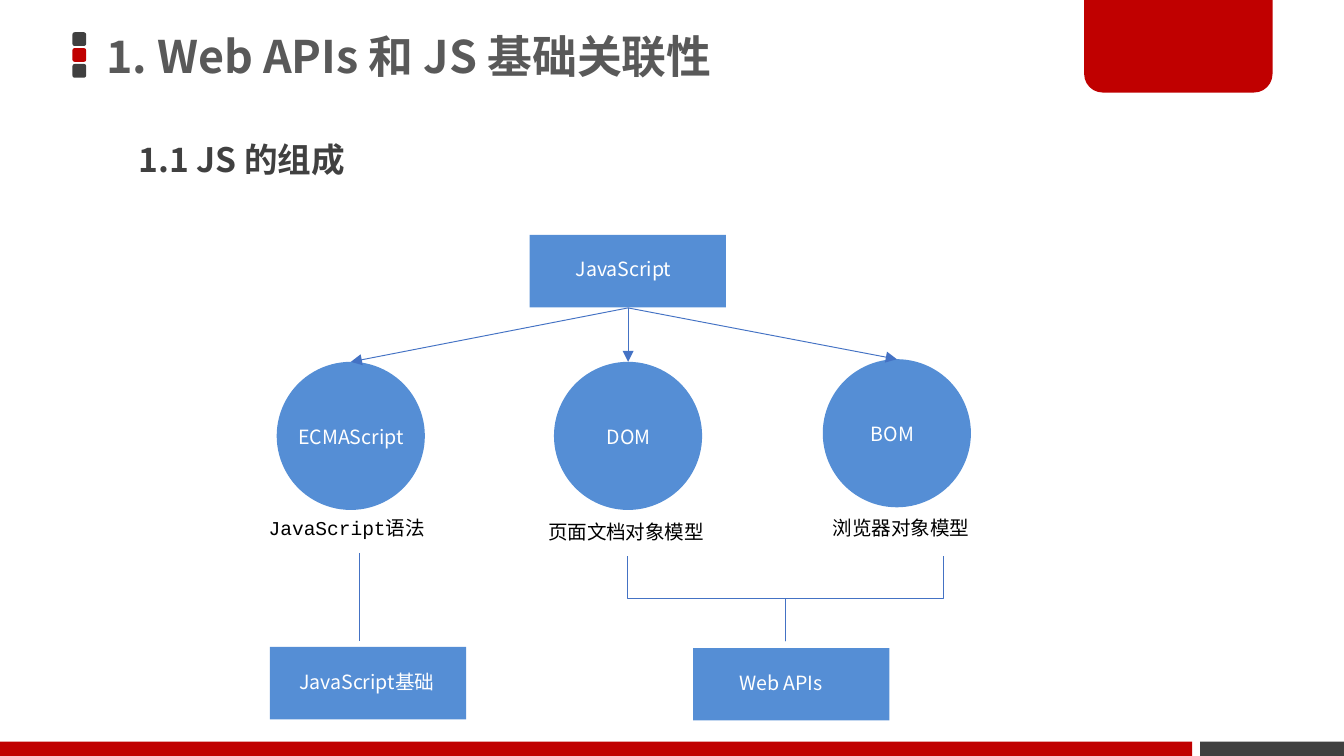
import pptx
import pptx.util
import pptx.dml.color
import pptx.enum.shapes
import pptx.enum.text
import pptx.oxml
import pptx.oxml.ns
from pptx.util import Cm, Pt

RGB = pptx.dml.color.RGBColor
SHAPE = pptx.enum.shapes.MSO_SHAPE
ALIGN = pptx.enum.text.PP_ALIGN
ANCHOR = pptx.enum.text.MSO_ANCHOR
AUTO = pptx.enum.text.MSO_AUTO_SIZE
qn = pptx.oxml.ns.qn

RED = RGB(0xC0, 0x00, 0x00)
DARK = RGB(0x40, 0x40, 0x40)
GREY = RGB(0x59, 0x59, 0x59)
BLUE = RGB(0x55, 0x8E, 0xD5)
LINE = RGB(0x44, 0x72, 0xC4)
WHITE = RGB(0xFF, 0xFF, 0xFF)
BLACK = RGB(0x00, 0x00, 0x00)
SANS = "Noto Sans CJK SC"
MONO = "Courier New"

prs = pptx.Presentation()
prs.slide_width, prs.slide_height = Cm(25.4), Cm(14.29)
s = prs.slides.add_slide(prs.slide_layouts[1])


def add_filled(kind, x, y, w, h, color):
    """Add a preset shape with a plain fill and no outline."""
    sp = s.shapes.add_shape(kind, Cm(x), Cm(y), Cm(w), Cm(h))
    sp.shadow.inherit = False
    sp.fill.solid()
    sp.fill.fore_color.rgb = color
    sp.line.fill.background()
    return sp


def write(sp, text, size, color, align=ALIGN.LEFT, bold=False, latin=SANS):
    """Put one formatted paragraph in a shape and return the paragraph."""
    tf = sp.text_frame
    tf.word_wrap = True
    tf.text = text
    p = tf.paragraphs[0]
    p.alignment = align
    r = p.runs[0]
    r.font.size, r.font.bold, r.font.name = Pt(size), bold, latin
    r.font.color.rgb = color
    ea = pptx.oxml.parse_xml(
        '<a:ea xmlns:a="http://schemas.openxmlformats.org/drawingml/2006/main"'
        f' typeface="{SANS}"/>')
    r.font._element.find(qn("a:latin")).addnext(ea)
    return p


# Slide decoration
for i, color in enumerate([DARK, RED, DARK]):
    add_filled(SHAPE.ROUNDED_RECTANGLE, 1.37, 0.61 + 0.3 * i, 0.26, 0.26, color)
tab = add_filled(SHAPE.ROUND_2_SAME_RECTANGLE, 20.49, 0, 3.56, 1.75, RED)
tab.adjustments[0], tab.adjustments[1] = 0, 0.2
add_filled(SHAPE.RECTANGLE, 0, 14.02, 22.53, 0.27, RED)
add_filled(SHAPE.RECTANGLE, 22.68, 14.02, 2.72, 0.27, DARK)

# Title and subtitle
title, body = s.shapes.title, s.placeholders[1]
for sp, text, box, size, color, anchor in [
        (title, "1. Web APIs 和 JS 基础关联性", (1.75, 0, 18.72, 2.21), 24, GREY, ANCHOR.MIDDLE),
        (body, "1.1 JS 的组成", (2.36, 2.59, 18.11, 1.5), 18, DARK, ANCHOR.TOP)]:
    sp.left, sp.top, sp.width, sp.height = [Cm(v) for v in box]
    p = write(sp, text, size, color, bold=True)
    p.line_spacing = 0.9
    sp.text_frame.auto_size = AUTO.NONE
    sp.text_frame.vertical_anchor = anchor
p.space_before = Pt(7.5)
pPr = p._p.get_or_add_pPr()
pPr.set("marL", "0")
pPr.set("indent", "0")
pPr.append(pPr.makeelement(qn("a:buNone"), {}))

# Boxes with their labels
for text, x, y, inset, w in [("JavaScript", 10.01, 4.44, 0.62, 2.46),
                             ("Web APIs", 13.1, 12.25, 0.62, 2.46),
                             ("JavaScript基础", 5.1, 12.23, 0.31, 3.48)]:
    add_filled(SHAPE.RECTANGLE, x, y, 3.71, 1.37, BLUE)
    label = s.shapes.add_textbox(Cm(x + inset), Cm(y + 0.3), Cm(w), Cm(0.71))
    write(label, text, 10.5, WHITE)

# Circles with name and description; each is reached by an arrow
lines = []
for name, x, y, name_x, note, note_x, note_y, note_w in [
        ("ECMAScript", 5.23, 6.84, 4.83, "JavaScript语法", 4.83, 9.63, 3.51),
        ("DOM", 10.47, 6.84, 10.08, "页面文档对象模型", 10.11, 9.7, 3.63),
        ("BOM", 15.55, 6.79, 15.06, "浏览器对象模型", 15.49, 9.63, 3.51)]:
    add_filled(SHAPE.OVAL, x, y, 2.8, 2.8, BLUE)
    label = s.shapes.add_textbox(Cm(name_x), Cm(y + 1.07), Cm(3.61), Cm(0.71))
    write(label, name, 10.5, WHITE, ALIGN.CENTER)
    label = s.shapes.add_textbox(Cm(note_x), Cm(note_y), Cm(note_w), Cm(0.71))
    latin = MONO if note.startswith("JavaScript") else SANS
    write(label, note, 10.5, BLACK, latin=latin)
    lines.append((11.87, 5.82, x + 1.4, y, True))
lines.append((6.8, 10.45, 6.8, 12.11, False))

for x1, y1, x2, y2, arrow in lines:
    c = s.shapes.add_connector(pptx.enum.shapes.MSO_CONNECTOR.STRAIGHT,
                               Cm(x1), Cm(y1), Cm(x2), Cm(y2))
    c.line.color.rgb, c.line.width = LINE, Pt(0.5)
    if arrow:
        ln = c.line._get_or_add_ln()
        ln.append(ln.makeelement(qn("a:tailEnd"), {"type": "triangle"}))
    spPr = c._element.spPr
    spPr.append(spPr.makeelement(qn("a:effectLst"), {}))

# Brace joining DOM and BOM
brace = s.shapes.add_shape(SHAPE.RIGHT_BRACE, Cm(14.05), Cm(8.33), Cm(1.6), Cm(5.97))
brace.rotation = 90
brace.adjustments[0], brace.adjustments[1] = 0, 0.5
brace.shadow.inherit = False
brace.fill.background()
brace.line.color.rgb, brace.line.width = LINE, Pt(0.5)

prs.save("out.pptx")
